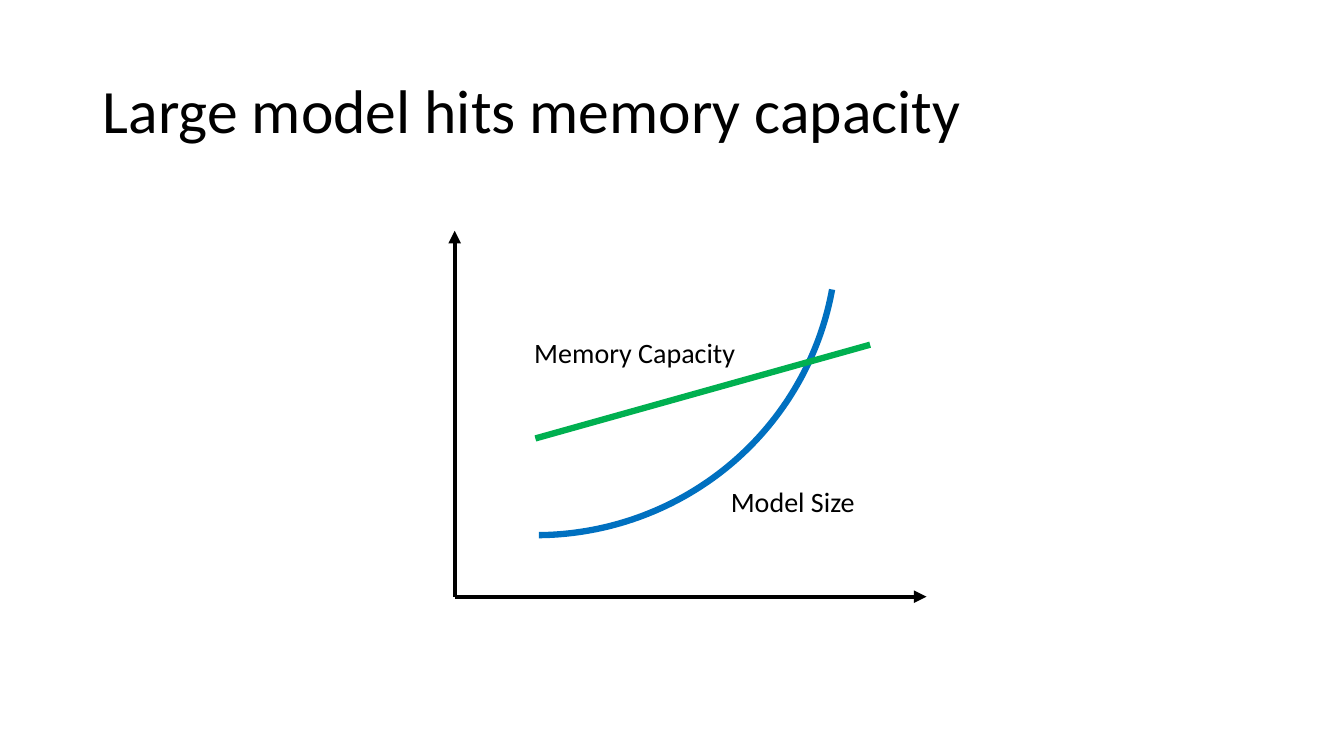
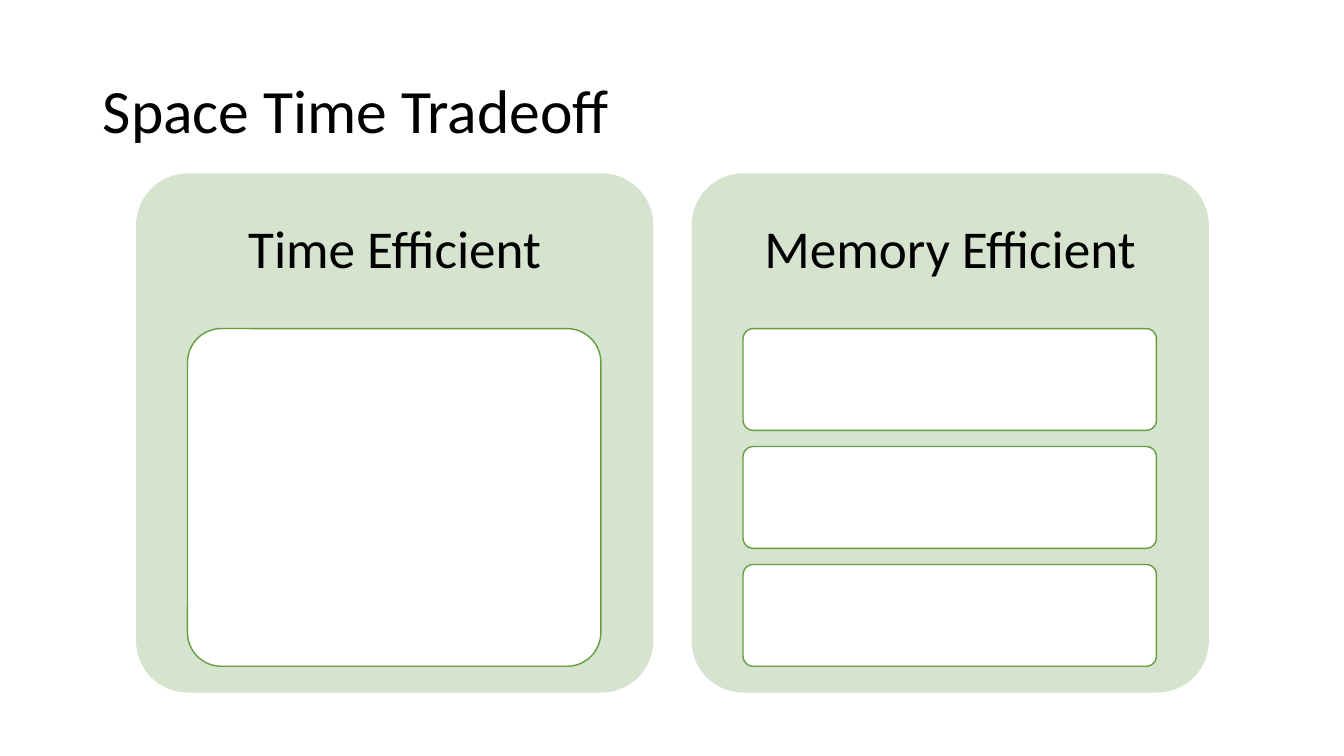
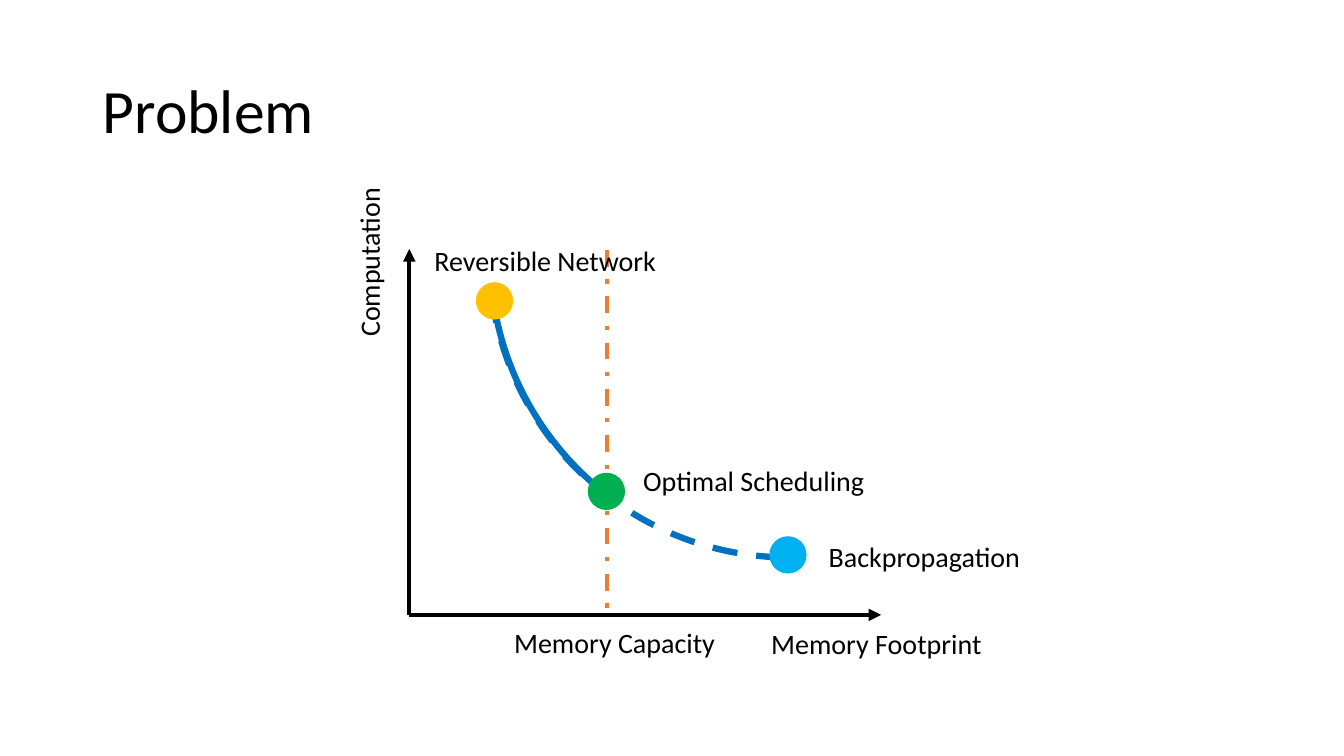
from lxml import etree
from pptx import Presentation
from pptx.dml.color import RGBColor
from pptx.enum.dml import MSO_LINE
from pptx.enum.shapes import MSO_CONNECTOR, MSO_SHAPE
from pptx.enum.text import MSO_ANCHOR, MSO_AUTO_SIZE, PP_ALIGN
from pptx.oxml.ns import qn
from pptx.util import Inches, Pt

STRAIGHT = MSO_CONNECTOR.STRAIGHT
ARC, ROUNDED, OVAL = MSO_SHAPE.ARC, MSO_SHAPE.ROUNDED_RECTANGLE, MSO_SHAPE.OVAL
DASH, DASH_DOT = MSO_LINE.DASH, MSO_LINE.DASH_DOT
LEFT, CENTER = PP_ALIGN.LEFT, PP_ALIGN.CENTER
MIDDLE = MSO_ANCHOR.MIDDLE
NO_FIT, GROW = MSO_AUTO_SIZE.NONE, MSO_AUTO_SIZE.SHAPE_TO_FIT_TEXT

FONT = "Calibri"
COLORS = {
    "black": "000000", "white": "FFFFFF", "curve": "0070C0",
    "green": "00B050", "orange": "ED7D31", "yellow": "FFC000",
    "sky": "00B0F0", "panel": "D5E3CF", "card_edge": "669D40",
}
AXIS_WIDTH, AXIS_HEIGHT = 4.68, 3.63
ARC_SIZE = (5.93, 5.97)
ARC_END = 359.42
DOT_SIZE = 0.37


def color(name):
    return RGBColor.from_string(COLORS[name])


def box_lengths(*values):
    return [Inches(value) for value in values]


def style_line(line, name, width, dash=None):
    line.color.rgb = color(name)
    line.width = Pt(width)
    if dash is not None:
        line.dash_style = dash


def write(frame, text, size, align=LEFT, spacing=None):
    frame.text = text
    frame.word_wrap = True
    para = frame.paragraphs[0]
    para.alignment = align
    para.line_spacing = spacing
    para.font.name = FONT
    para.font.size = Pt(size)
    para.font.color.rgb = color("black")


def add_page(deck, title):
    page = deck.slides.add_slide(deck.slide_layouts[5])
    box = page.shapes.title
    box.left, box.top, box.width, box.height = box_lengths(0.92, 0.4, 11.5, 1.45)
    write(box.text_frame, title, 44, spacing=0.9)
    box.text_frame.vertical_anchor = MIDDLE
    box.text_frame.auto_size = NO_FIT
    return page


def add_line(page, start, end, name, width, dash=None, arrow=False):
    connector = page.shapes.add_connector(STRAIGHT, *box_lengths(*start, *end))
    style_line(connector.line, name, width, dash)
    properties = connector._element.spPr
    if arrow:
        outline = properties.find(qn("a:ln"))
        etree.SubElement(outline, qn("a:tailEnd"), type="triangle")
    etree.SubElement(properties, qn("a:effectLst"))


def add_axes(page, x, y):
    for end in ((x + AXIS_WIDTH, y), (x, y - AXIS_HEIGHT)):
        add_line(page, (x, y), end, "black", 3, arrow=True)


def add_arc(page, left, top, rotation, start_angle, dash=None):
    arc = page.shapes.add_shape(ARC, *box_lengths(left, top, *ARC_SIZE))
    # Angles are stored in 60000ths of a degree, adjustments in 100000ths
    for index, angle in enumerate((start_angle, ARC_END)):
        arc.adjustments[index] = angle * 0.6
    arc.rotation = rotation
    arc.shadow.inherit = False
    arc.fill.background()
    style_line(arc.line, "curve", 4.5, dash)


def add_filled(page, kind, bounds, fill, edge=None):
    shape = page.shapes.add_shape(kind, *box_lengths(*bounds))
    shape.shadow.inherit = False
    shape.fill.solid()
    shape.fill.fore_color.rgb = color(fill)
    if edge:
        style_line(shape.line, edge, 1)
    else:
        shape.line.fill.background()
    if kind == ROUNDED:
        shape.adjustments[0] = 0.1


def add_label(page, text, left, top, width=2.55, rotation=0):
    box = page.shapes.add_textbox(*box_lengths(left, top, width, 0.44))
    write(box.text_frame, text, 20)
    box.text_frame.auto_size = GROW
    box.rotation = rotation


def add_panel(page, heading, left, card_count):
    top, width, card_gap = 1.72, 5.13, 0.16
    add_filled(page, ROUNDED, (left, top, width, 5.15), "panel")
    box = page.shapes.add_textbox(*box_lengths(left, top, width, 1.55))
    write(box.text_frame, heading, 38, CENTER, 0.9)
    box.text_frame.vertical_anchor = MIDDLE
    # Cards share the lower part of the panel equally
    card_height = (3.35 - card_gap * (card_count - 1)) / card_count
    for index in range(card_count):
        card_top = 3.26 + index * (card_height + card_gap)
        add_filled(page, ROUNDED, (left + 0.51, card_top, 4.1, card_height),
                   "white", "card_edge")


def build_capacity_page(deck):
    page = add_page(deck, "Large model hits memory capacity")
    add_axes(page, 4.51, 5.92)
    add_arc(page, 2.35, -0.64, 90, 280.18)
    add_line(page, (5.31, 4.35), (8.63, 3.42), "green", 4.5)
    add_label(page, "Model Size", 7.15, 4.76, 1.67)
    add_label(page, "Memory Capacity", 5.2, 3.28)


def build_tradeoff_page(deck):
    page = add_page(deck, "Space Time Tradeoff")
    panels = (("Time Efficient", 1), ("Memory Efficient", 3))
    for index, (heading, card_count) in enumerate(panels):
        add_panel(page, heading, 1.35 + index * 5.51, card_count)


def build_problem_page(deck):
    page = add_page(deck, "Problem")
    # Capacity limit, axes and the solid and dashed parts of the curve
    add_line(page, (6.02, 2.48), (6.02, 6.1), "orange", 3, DASH_DOT)
    add_arc(page, 4.86, -0.44, 171.1, 316.38)
    add_axes(page, 4.06, 6.1)
    add_arc(page, 4.85, -0.44, 171.1, 280.18, DASH)
    # Methods on the curve
    for left, top, fill in ((7.63, 5.32, "sky"), (4.72, 2.8, "yellow"),
                            (5.83, 4.69, "green")):
        add_filled(page, OVAL, (left, top, DOT_SIZE, DOT_SIZE), fill)
    for text, left, top in (("Memory Footprint", 7.55, 6.17),
                            ("Backpropagation", 8.12, 5.3),
                            ("Reversible Network", 4.21, 2.37),
                            ("Memory Capacity", 5, 6.16),
                            ("Optimal Scheduling", 6.28, 4.55)):
        add_label(page, text, left, top)
    add_label(page, "Computation", 2.81, 2.37, 1.7, 270)


def main():
    deck = Presentation()
    deck.slide_width, deck.slide_height = box_lengths(13.33, 7.5)
    build_capacity_page(deck)
    build_tradeoff_page(deck)
    build_problem_page(deck)
    deck.save("out.pptx")


if __name__ == "__main__":
    main()
